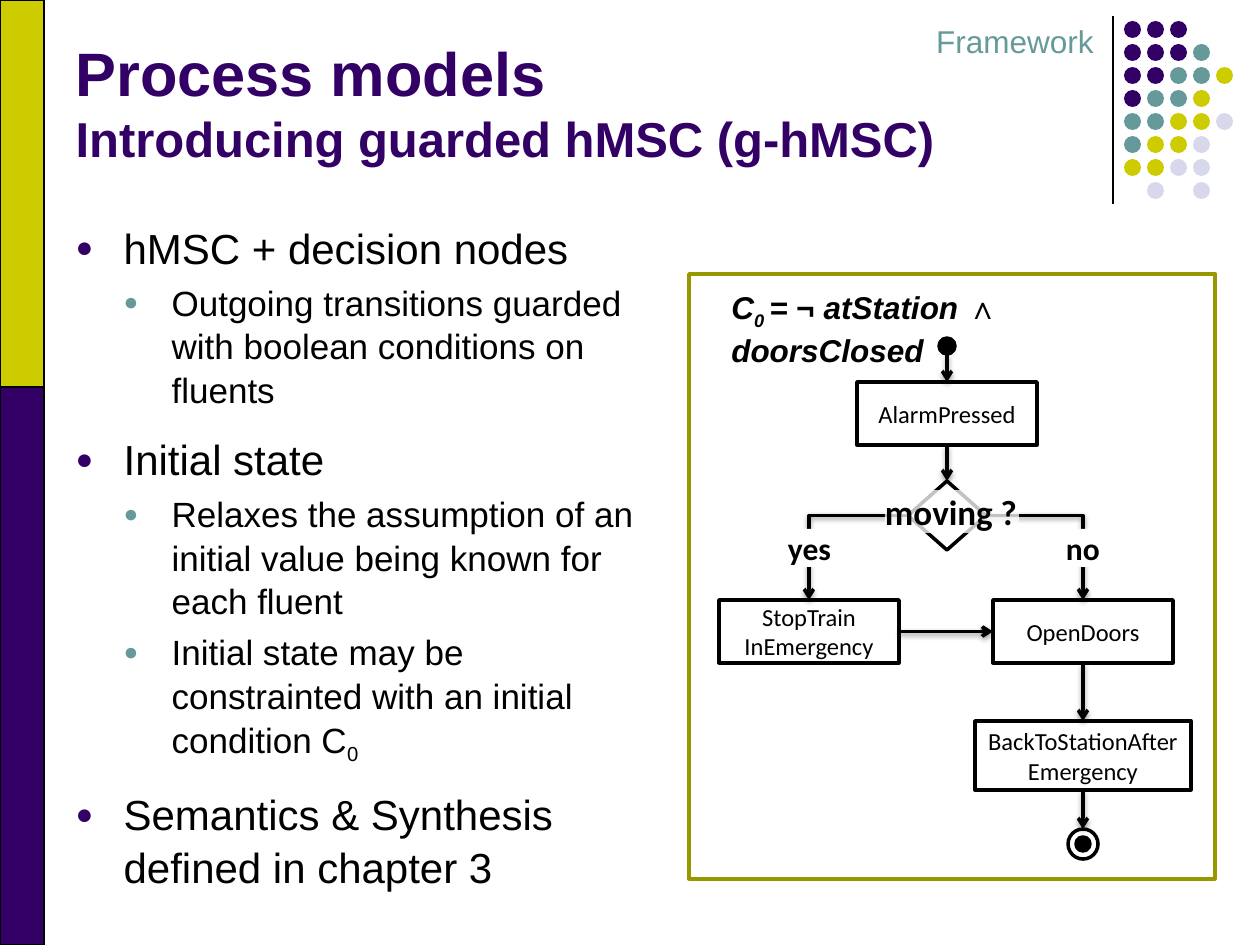
"""Build the slide on process models and guarded hMSC."""
import dataclasses

import lxml.etree
import pptx
import pptx.dml.color
import pptx.enum.shapes
import pptx.enum.text
import pptx.oxml
import pptx.oxml.ns
import pptx.util

SCALE = 914400 / 126
KIND = pptx.enum.shapes.MSO_SHAPE
LINK = pptx.enum.shapes.MSO_CONNECTOR
ALIGN = pptx.enum.text.PP_ALIGN
ANCHOR = pptx.enum.text.MSO_ANCHOR
FIT = pptx.enum.text.MSO_AUTO_SIZE
TOP, LEFT, BOTTOM, RIGHT = range(4)


@dataclasses.dataclass(frozen=True)
class Theme:
    """Colours, fonts and type sizes of the slide."""
    dark: str = "330066"
    teal: str = "669999"
    lime: str = "CCCC00"
    pale: str = "D8D8EC"
    olive: str = "979700"
    black: str = "000000"
    white: str = "FFFFFF"
    sans: str = "Arial"
    node: str = "Calibri"
    title: int = 35
    sub: int = 28
    heads: tuple = (24, 20)
    tag: int = 18
    ask: int = 20
    small: int = 14
    thick: int = 2
    thin: float = 0.75


THEME = Theme()


def px(size):
    """Turn pixels into EMU."""
    return pptx.util.Emu(round(size * SCALE))


def rgb(code):
    """Turn a hex code into a colour."""
    return pptx.dml.color.RGBColor.from_string(code)


def style(font, size, name, color=THEME.black, bold=None, italic=None):
    """Set the look of a font."""
    font.size, font.name = pptx.util.Pt(size), name
    font.bold, font.italic = bold, italic
    font.color.rgb = rgb(color)


def place(item, box):
    """Move an item into a box of pixels."""
    item.left, item.top, item.width, item.height = map(px, box)


def shape(slide, kind, box, fill=None, line=None, width=THEME.thick):
    """Add a preset shape without shadow."""
    item = slide.shapes.add_shape(kind, *map(px, box))
    item.shadow.inherit = False
    if fill:
        item.fill.solid()
        item.fill.fore_color.rgb = rgb(fill)
    else:
        item.fill.background()
    if line:
        item.line.color.rgb = rgb(line)
        item.line.width = pptx.util.Pt(width)
    else:
        item.line.fill.background()
    return item


def inset(frame, size=0):
    """Give all four margins of a text frame one size."""
    frame.margin_left = frame.margin_right = px(size)
    frame.margin_top = frame.margin_bottom = px(size)


def lower(run):
    """Make a run a subscript."""
    run.font._element.set("baseline", "-25000")


def node(slide, box, text):
    """Add a boxed step of the flow."""
    item = shape(slide, KIND.RECTANGLE, box, THEME.white, THEME.black)
    frame = item.text_frame
    inset(frame)
    frame.word_wrap, frame.vertical_anchor = True, ANCHOR.MIDDLE
    para = frame.paragraphs[0]
    para.text, para.alignment = text, ALIGN.CENTER
    style(para.font, THEME.small, THEME.node)
    return item


def label(slide, box, text, size, clear=None):
    """Add a bold tag on a white ground, see-through if asked."""
    item = slide.shapes.add_textbox(*map(px, box))
    item.fill.solid()
    item.fill.fore_color.rgb = rgb(THEME.white)
    if clear:
        tint = item.fill._xPr.find(".//" + pptx.oxml.ns.qn("a:srgbClr"))
        lxml.etree.SubElement(tint, pptx.oxml.ns.qn("a:alpha"), val=str(clear * 1000))
    frame = item.text_frame
    inset(frame)
    frame.word_wrap = False
    frame.text = text
    style(frame.paragraphs[0].font, size, THEME.node, bold=True)


def arrow(slide, start, out, end, into, bent=False):
    """Join two shapes by an arrow with a soft shadow."""
    kind = LINK.ELBOW if bent else LINK.STRAIGHT
    item = slide.shapes.add_connector(kind, 0, 0, 0, 0)
    item.begin_connect(start, out)
    item.end_connect(end, into)
    item.line.color.rgb = rgb(THEME.black)
    item.line.width = pptx.util.Pt(THEME.thick)
    if start.auto_shape_type == KIND.OVAL:
        join = item._element.find(".//" + pptx.oxml.ns.qn("a:stCxn"))
        join.set("idx", str(2 * out))
    props = item._element.spPr
    if bent:
        props.find(pptx.oxml.ns.qn("a:prstGeom")).set("prst", "bentConnector2")
    tip = pptx.oxml.ns.qn("a:tailEnd")
    lxml.etree.SubElement(item.line._get_or_add_ln(), tip, type="arrow")
    props.append(pptx.oxml.parse_xml(
        f'<a:effectLst {pptx.oxml.ns.nsdecls("a")}>'
        '<a:outerShdw blurRad="40000" dist="20000" dir="5400000" rotWithShape="0">'
        f'<a:srgbClr val="{THEME.black}"><a:alpha val="38000"/></a:srgbClr>'
        '</a:outerShdw></a:effectLst>'))


def bars(slide, box):
    """Draw the two-tone bar on the left edge."""
    x, y, w, h = box
    for fill, high in ((THEME.dark, h), (THEME.lime, 387)):
        shape(slide, KIND.RECTANGLE, (x, y, w, high), fill, THEME.black, THEME.thin)


def dots(slide, box):
    """Draw the rule and the dot grid in the corner."""
    x, y, _, h = box
    rule = slide.shapes.add_connector(LINK.STRAIGHT, px(x), px(y), px(x), px(y + h))
    rule.line.color.rgb = rgb(THEME.black)
    rule.line.width = pptx.util.Pt(THEME.thin)
    lxml.etree.SubElement(rule._element.spPr, pptx.oxml.ns.qn("a:effectLst"))
    tones = dict(D=THEME.dark, T=THEME.teal, L=THEME.lime, P=THEME.pale)
    rows = "DDD DDDT DDTTL DTTL TTLLP TLLP LLPP .P.P".split()
    for r, row in enumerate(rows):
        for c, key in enumerate(row):
            if key in tones:
                spot = (x + 11 + 23 * c, y + 5 + 23 * r, 17, 17)
                shape(slide, KIND.OVAL, spot, tones[key])


def header(slide, box):
    """Fill the title and the section tag."""
    x, y, w, h = box
    title = slide.shapes.title
    place(title, box)
    frame = title.text_frame
    frame.auto_size, frame.vertical_anchor = FIT.NONE, ANCHOR.BOTTOM
    para = frame.paragraphs[0]
    para.alignment = ALIGN.LEFT
    style(para.font, THEME.title, THEME.sans, THEME.dark, True)
    para.add_run().text = "Process models"
    para.add_line_break()
    run = para.add_run()
    run.text = "Introducing guarded hMSC (g-hMSC)"
    run.font.size = pptx.util.Pt(THEME.sub)
    tag = slide.shapes.add_textbox(px(x + w - 512), px(y), px(515), px(50))
    tag.text_frame.word_wrap = True
    para = tag.text_frame.paragraphs[0]
    para.text, para.alignment = "Framework", ALIGN.RIGHT
    style(para.font, THEME.tag, THEME.sans, THEME.teal)


def points(slide, box):
    """Fill the body with the two-level list."""
    body = slide.placeholders[1]
    place(body, box)
    frame = body.text_frame
    frame.auto_size = FIT.NONE
    items = (
        (0, 5, "hMSC + decision nodes", ""),
        (1, 4, "Outgoing transitions guarded with boolean conditions on fluents", ""),
        (0, 12, "Initial state", ""),
        (1, 4, "Relaxes the assumption of an initial value being known for each fluent", ""),
        (1, 4, "Initial state may be constrainted with an initial condition C", "0"),
        (0, 12, "Semantics & Synthesis defined in chapter 3", ""),
    )
    for i, (level, gap, text, sub) in enumerate(items):
        para = frame.add_paragraph() if i else frame.paragraphs[0]
        para.level, para.line_spacing = level, 1.04
        para.space_before = pptx.util.Pt(gap)
        props = para._p.get_or_add_pPr()
        props.set("marL", str(px(48 * (level + 1))))
        props.set("indent", str(px(-48)))
        mark = lxml.etree.SubElement(props, pptx.oxml.ns.qn("a:buClr"))
        tone = (THEME.dark, THEME.teal)[level]
        lxml.etree.SubElement(mark, pptx.oxml.ns.qn("a:srgbClr"), val=tone)
        for name, key, val in (("buSzPct", "val", "70000"),
                               ("buFont", "typeface", THEME.sans),
                               ("buChar", "char", "●")):
            lxml.etree.SubElement(props, pptx.oxml.ns.qn("a:" + name), {key: val})
        style(para.font, THEME.heads[level], THEME.sans)
        para.add_run().text = text
        if sub:
            run = para.add_run()
            run.text = sub
            lower(run)


def flow(slide, box):
    """Draw the framed flow chart with its guard."""
    left, top, _, _ = box

    def at(x, y, w, h):
        """Shift a box into the frame."""
        return left + x, top + y, w, h

    def disc(x, y, size, fill):
        """Add a round mark."""
        return shape(slide, KIND.OVAL, at(x, y, size, size), fill, THEME.black)

    shape(slide, KIND.RECTANGLE, box, None, THEME.olive)
    start = disc(250, 64, 16, THEME.black)
    alarm = node(slide, at(168, 108, 180, 63), "AlarmPressed")
    test = shape(slide, KIND.DIAMOND, at(219, 207, 78, 69), THEME.white, THEME.black)
    stop = node(slide, at(30, 326, 180, 63), "StopTrain\vInEmergency")
    doors = node(slide, at(304, 326, 180, 63), "OpenDoors")
    back = node(slide, at(286, 447, 216, 69), "BackToStationAfter\vEmergency")
    end = disc(379, 555, 30, THEME.white)
    disc(387, 563, 14, THEME.black)
    arrow(slide, start, BOTTOM, alarm, TOP)
    arrow(slide, alarm, BOTTOM, test, TOP)
    arrow(slide, test, LEFT, stop, TOP, True)
    arrow(slide, test, RIGHT, doors, TOP, True)
    arrow(slide, stop, RIGHT, doors, LEFT)
    arrow(slide, doors, BOTTOM, back, TOP)
    arrow(slide, back, BOTTOM, end, TOP)
    label(slide, at(377, 255, 34, 38), "no", THEME.tag)
    label(slide, at(99, 255, 43, 38), "yes", THEME.tag)
    label(slide, at(196, 216, 134, 43), "moving ?", THEME.ask, 76)
    guard = slide.shapes.add_textbox(*map(px, at(30, 8, 493, 50)))
    guard.text_frame.word_wrap = True
    guard.text_frame.margin_right = px(150)
    para = guard.text_frame.paragraphs[0]
    style(para.font, THEME.tag, THEME.sans, bold=True, italic=True)
    for text in ("C", "0 ", "= ¬ atStation ∧ doorsClosed"):
        para.add_run().text = text
    lower(para.runs[1])


def main():
    """Build and save the slide."""
    deck = pptx.Presentation()
    deck.slide_width, deck.slide_height = px(1260), px(945)
    slide = deck.slides.add_slide(deck.slide_layouts[1])
    dots(slide, (1113, 16, 130, 188))
    bars(slide, (0, 0, 44, 945))
    header(slide, (63, 16, 1040, 158))
    points(slide, (63, 214, 597, 630))
    flow(slide, (689, 274, 526, 605))
    deck.save("out.pptx")


if __name__ == "__main__":
    main()
